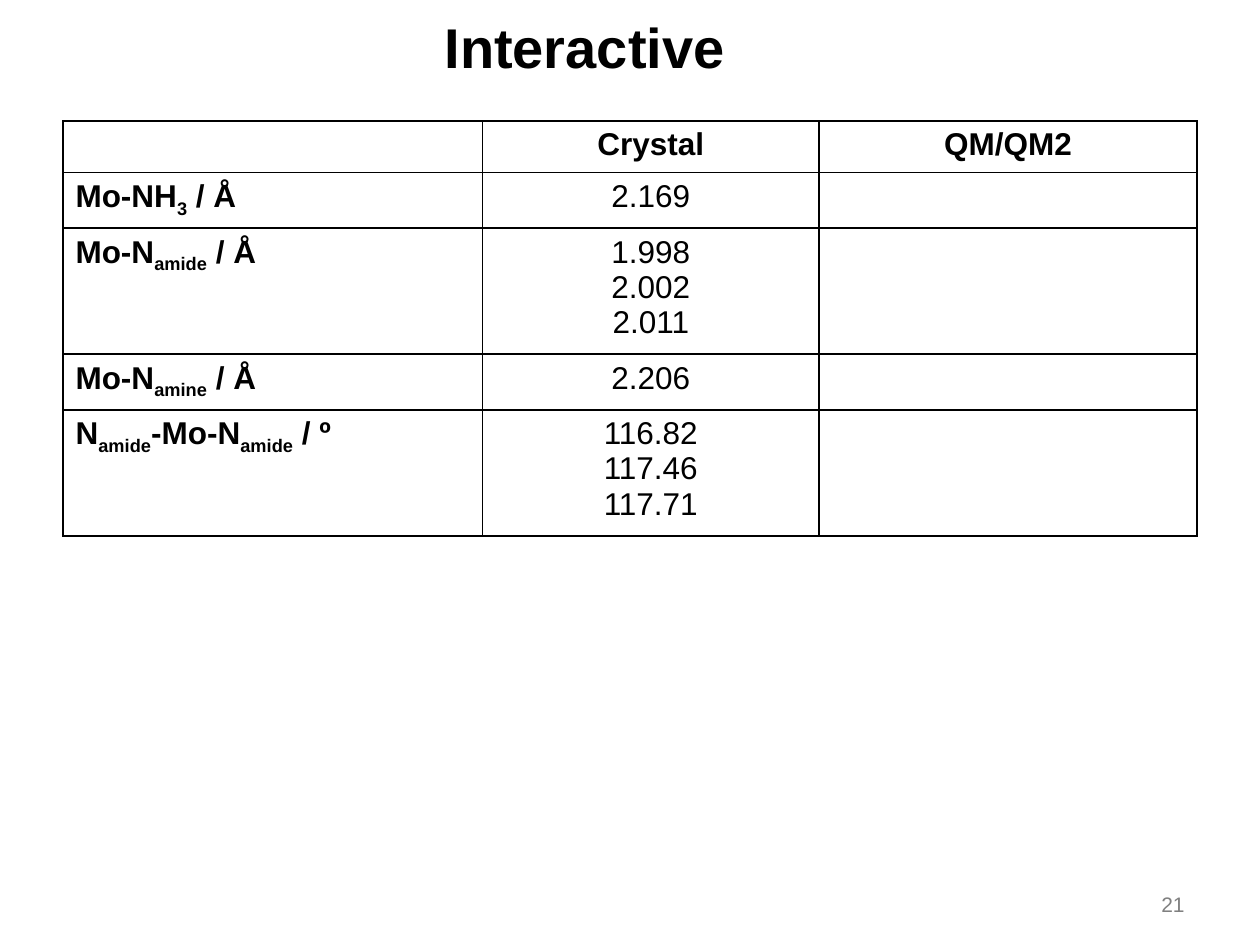
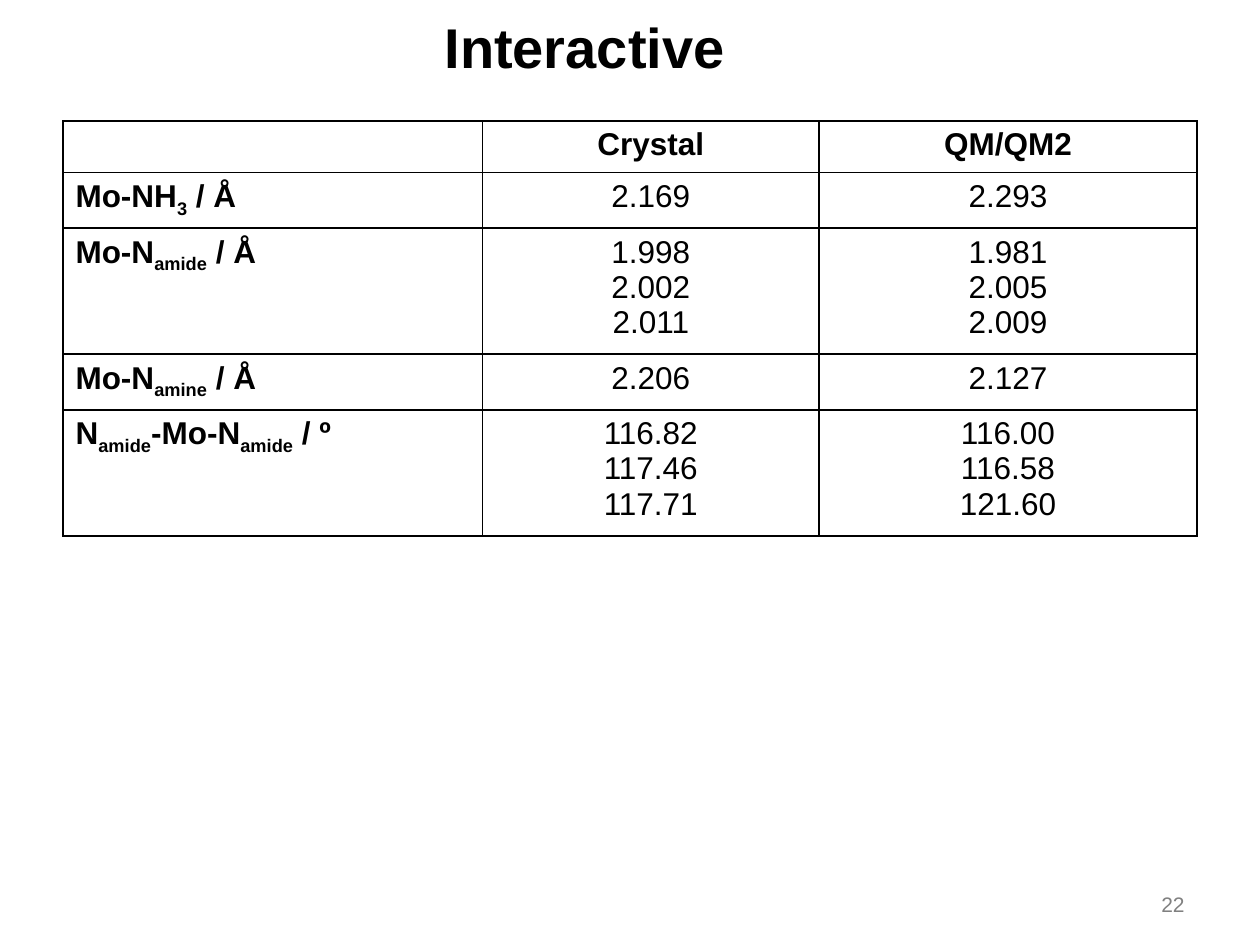
from dataclasses import dataclass

from lxml.etree import SubElement
from pptx import Presentation
from pptx.dml.color import RGBColor
from pptx.enum.text import MSO_ANCHOR, PP_ALIGN
from pptx.oxml.ns import qn
from pptx.util import Inches, Pt


@dataclass(frozen=True)
class Theme:
    """Colours, type sizes and line widths shared by the slides."""

    font: str = "Arial"
    ink: str = "000000"
    muted: str = "808080"
    title_size: int = 32
    title_leading: int = 40
    table_size: int = 18
    number_size: int = 12
    border: int = 1


WIDTH, HEIGHT = Inches(10), Inches(7.5)
COLUMNS, ROWS = 100, 75
TABLE_COLUMNS = (33.3, 26.7, 30)
HEADER_ROW, ROW_PADDING, VALUE_LINE = 4.1, 1.4, 2.8
HEADINGS = ("", "Crystal", "QM/QM2")
MEASURES = ("Mo-NH_3_ / Å", "Mo-N_amide_ / Å", "Mo-N_amine_ / Å", "N_amide_-Mo-N_amide_ / º")
CRYSTAL = ("2.169", "1.998\n2.002\n2.011", "2.206", "116.82\n117.46\n117.71")
COMPUTED = ("2.293", "1.981\n2.005\n2.009", "2.127", "116.00\n116.58\n121.60")
UNANSWERED = ("",) * len(MEASURES)


def write(frame, text, *, font, size, color, bold=False, align=PP_ALIGN.LEFT, leading=None):
    """Fill a frame with lines of text, setting parts between underscores as subscripts."""
    for index, line in enumerate(text.split("\n")):
        paragraph = frame.add_paragraph() if index else frame.paragraphs[0]
        paragraph.font.size = Pt(size)
        paragraph.alignment = align
        if leading:
            paragraph.line_spacing = Pt(leading)
        for position, part in enumerate(line.split("_")):
            if not part:
                continue
            run = paragraph.add_run()
            run.text = part
            run.font.name, run.font.size, run.font.bold = font, Pt(size), bold
            run.font.color.rgb = RGBColor.from_string(color)
            if position % 2:
                run._r.get_or_add_rPr().set("baseline", "-25000")


class Deck:
    """Holds the theme and the current slide and draws on its grid."""

    def __init__(self, theme):
        """Start an empty presentation."""
        self.theme = theme
        self.presentation = Presentation()
        self.presentation.slide_width, self.presentation.slide_height = WIDTH, HEIGHT
        self.slide = None

    def across(self, columns):
        """Convert grid columns to a length."""
        return round(WIDTH * columns / COLUMNS)

    def down(self, rows):
        """Convert grid rows to a length."""
        return round(HEIGHT * rows / ROWS)

    def area(self, left, top, width, height):
        """Convert a grid area to lengths."""
        return self.across(left), self.down(top), self.across(width), self.down(height)

    def new_slide(self):
        """Add a blank slide and make it current."""
        self.slide = self.presentation.slides.add_slide(self.presentation.slide_layouts[6])

    def text(self, area, text, **style):
        """Add a vertically centred text box."""
        frame = self.slide.shapes.add_textbox(*self.area(*area)).text_frame
        frame.word_wrap = True
        frame.vertical_anchor = MSO_ANCHOR.MIDDLE
        write(frame, text, font=self.theme.font, **style)

    def title(self, text):
        """Add the slide title."""
        theme = self.theme
        self.text((34.3, 0, 60.7, 7.1), text, size=theme.title_size, color=theme.ink,
                  bold=True, leading=theme.title_leading)

    def number(self, value):
        """Add the page number."""
        self.text((87.2, 70, 7.8, 3.5), str(value), size=self.theme.number_size,
                  color=self.theme.muted, align=PP_ALIGN.RIGHT)

    def frame_cell(self, cell):
        """Clear a cell's fill and rule all its sides."""
        properties = cell._tc.get_or_add_tcPr()
        for side in ("a:lnL", "a:lnR", "a:lnT", "a:lnB"):
            line = SubElement(properties, qn(side), w=str(Pt(self.theme.border)))
            fill = SubElement(line, qn("a:solidFill"))
            SubElement(fill, qn("a:srgbClr"), val=self.theme.ink)
        cell.fill.background()

    def table(self, left, top, widths, records):
        """Add a ruled table with bold headings and row labels."""
        heights = [HEADER_ROW] + [
            ROW_PADDING + VALUE_LINE * (1 + max(text.count("\n") for text in record))
            for record in records[1:]
        ]
        area = self.area(left, top, sum(widths), sum(heights))
        table = self.slide.shapes.add_table(len(records), len(widths), *area).table
        table.first_row = table.horz_banding = False
        for column, width in zip(table.columns, widths):
            column.width = self.across(width)
        for row_index, (row, height, record) in enumerate(zip(table.rows, heights, records)):
            row.height = self.down(height)
            for column_index, (cell, text) in enumerate(zip(row.cells, record)):
                self.frame_cell(cell)
                write(cell.text_frame, text, font=self.theme.font, size=self.theme.table_size,
                      color=self.theme.ink, bold=row_index == 0 or column_index == 0,
                      align=PP_ALIGN.CENTER if column_index else PP_ALIGN.LEFT)


def main():
    """Build the question slide and the answer slide."""
    deck = Deck(Theme())
    for page, results in enumerate((UNANSWERED, COMPUTED), start=21):
        deck.new_slide()
        deck.title("Interactive")
        deck.table(5, 9.6, TABLE_COLUMNS, [HEADINGS, *zip(MEASURES, CRYSTAL, results)])
        deck.number(page)
    deck.presentation.save("out.pptx")


if __name__ == "__main__":
    main()
